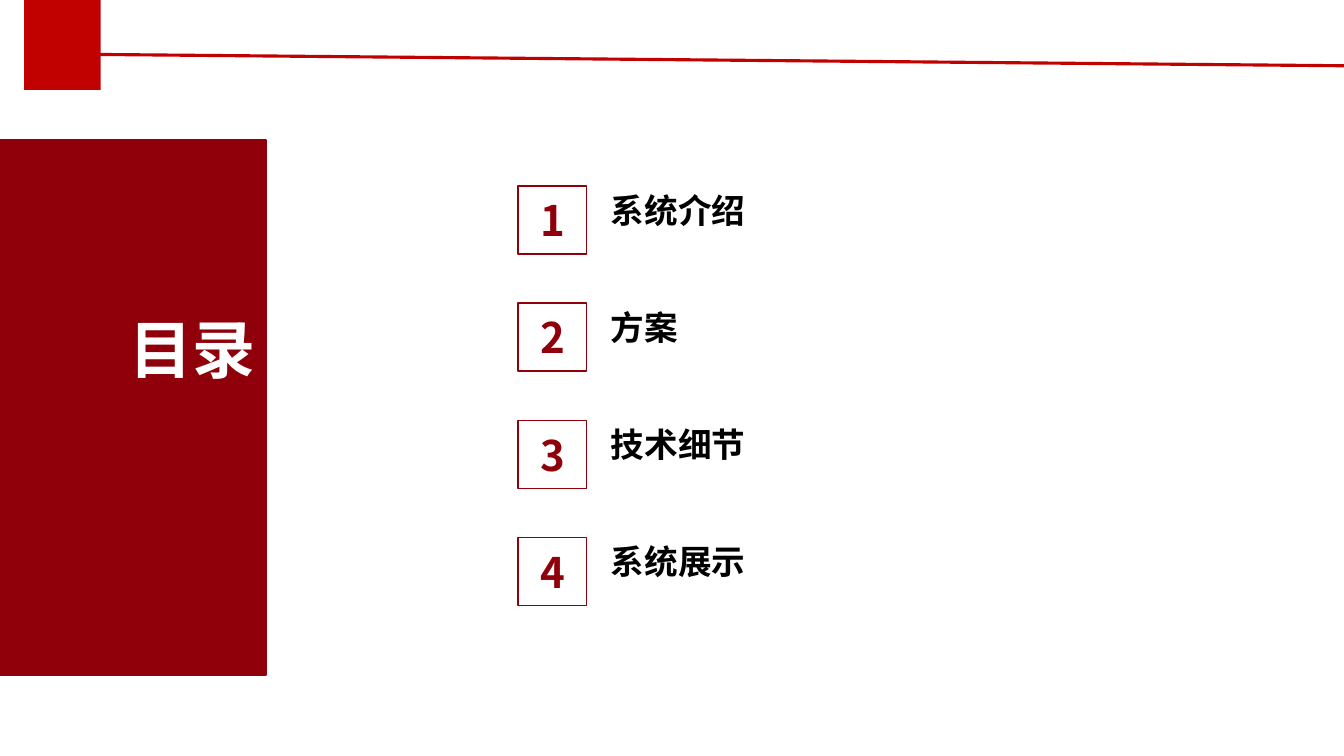
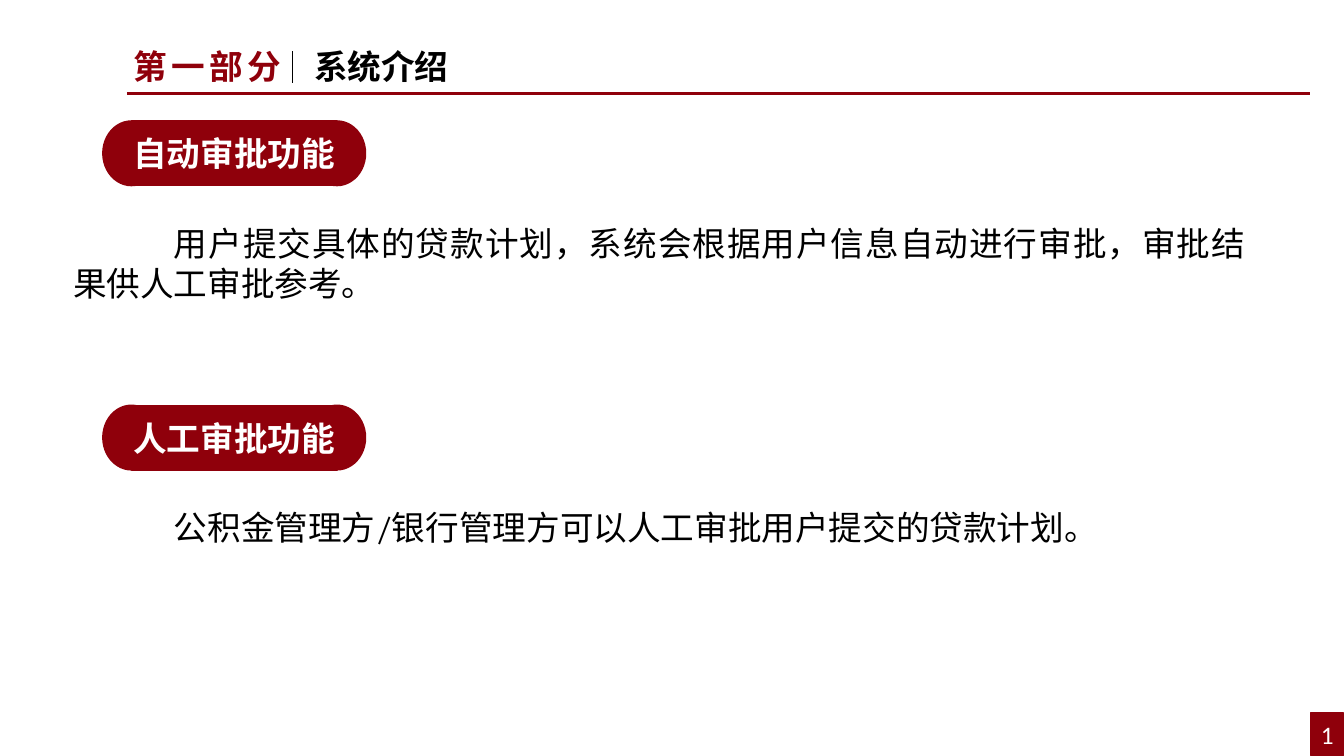
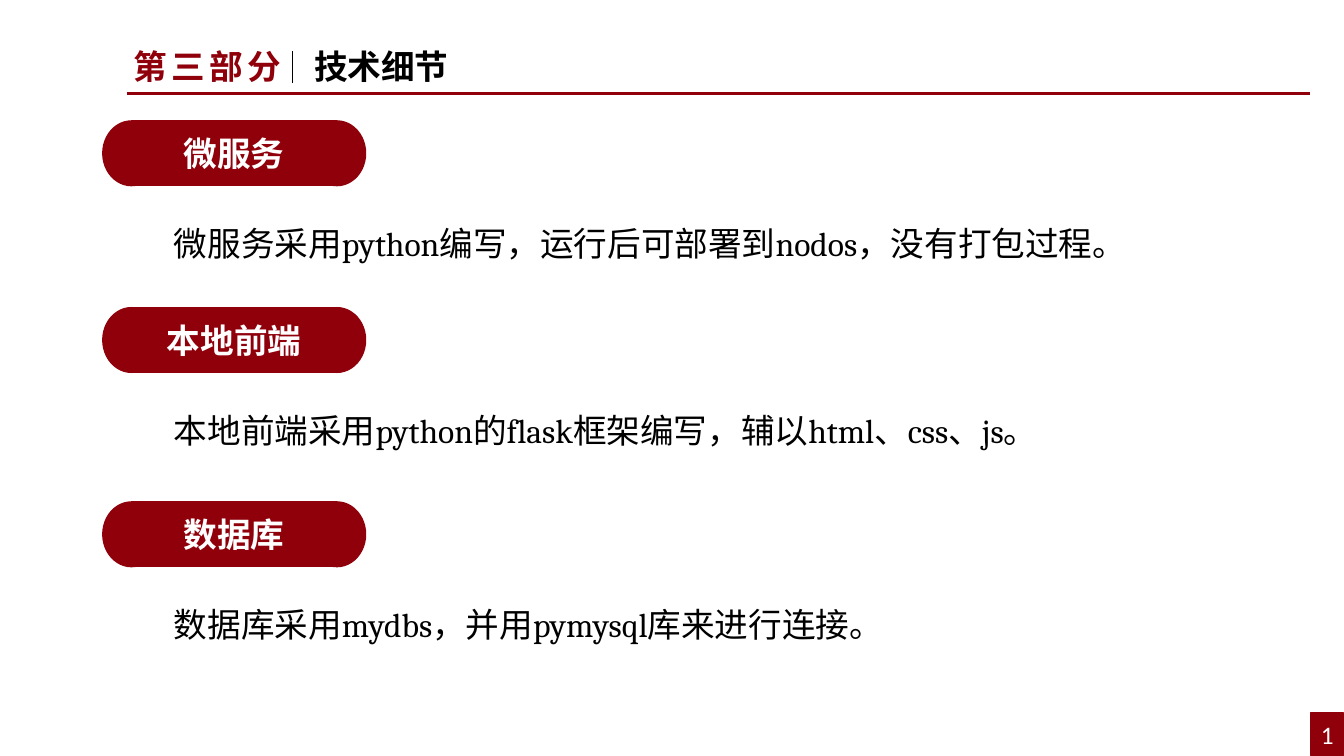
from dataclasses import dataclass

from lxml import etree
from pptx import Presentation
from pptx.dml.color import RGBColor
from pptx.enum import shapes, text
from pptx.oxml import ns
from pptx.util import Inches, Pt


@dataclass(frozen=True)
class Theme:
    dark: str = "8F000B"
    bright: str = "C10000"
    ink: str = "000000"
    paper: str = "FFFFFF"
    head_font: str = "Noto Sans CJK SC"
    body_font: str = "Cambria"
    page_font: str = "Calibri"
    cover: int = 45
    number: int = 30
    normal: int = 24
    page: int = 18


T = Theme()
WIDTH, HEIGHT = Inches(13.33), Inches(7.5)
ALIGN, ANCHOR = text.PP_ALIGN, text.MSO_ANCHOR
SHAPE = shapes.MSO_SHAPE


# Grid: 100 columns by 100 rows
def col(n):
    return round(WIDTH * n / 100)


def row(n):
    return round(HEIGHT * n / 100)


def box(x, y, w, h):
    return col(x), row(y), col(w), row(h)


# Text
def write(sp, *lines, size=T.normal, font=T.head_font, color=T.ink, bold=True,
          align=ALIGN.LEFT, anchor=ANCHOR.TOP, indent=0, spacing=0,
          line=None, after=0, margins=None):
    tf = sp.text_frame
    tf.word_wrap = True
    tf.auto_size = text.MSO_AUTO_SIZE.NONE
    tf.vertical_anchor = anchor
    if margins is not None:
        tf.margin_left = tf.margin_right = margins
        tf.margin_top = tf.margin_bottom = margins
    for i, content in enumerate(lines):
        p = tf.add_paragraph() if i else tf.paragraphs[0]
        p.alignment = align
        p.space_before, p.space_after = Pt(0), Pt(after)
        if line:
            p.line_spacing = Pt(line)
        props = p._p.get_or_add_pPr()
        props.set("marL", "0")
        props.set("indent", str(indent))
        etree.SubElement(props, ns.qn("a:buNone"))
        r = p.add_run()
        r.text = content
        r.font.size, r.font.bold, r.font.name = Pt(size), bold, font
        r.font.color.rgb = RGBColor.from_string(color)
        run_props = r._r.get_or_add_rPr()
        etree.SubElement(run_props, ns.qn("a:ea"), typeface=T.head_font)
        if spacing:
            run_props.set("spc", str(spacing * 100))


def add_text(s, area, content, **style):
    write(s.shapes.add_textbox(*box(*area)), content, **style)


def fill_placeholder(sp, area, *lines, **style):
    sp.left, sp.top, sp.width, sp.height = box(*area)
    write(sp, *lines, **style)


# Shapes and lines
def add_block(s, area, fill=None, line=T.dark, kind=SHAPE.RECTANGLE):
    sp = s.shapes.add_shape(kind, *box(*area))
    sp.shadow.inherit = False
    if fill:
        sp.fill.solid()
        sp.fill.fore_color.rgb = RGBColor.from_string(fill)
    else:
        sp.fill.background()
    if line:
        sp.line.color.rgb = RGBColor.from_string(line)
        sp.line.width = Pt(1)
    else:
        sp.line.fill.background()
    return sp


def add_line(s, x1, y1, x2, y2, color, width):
    c = s.shapes.add_connector(shapes.MSO_CONNECTOR.STRAIGHT,
                               col(x1), row(y1), col(x2), row(y2))
    c.line.color.rgb = RGBColor.from_string(color)
    c.line.width = Pt(width)
    etree.SubElement(c._element.spPr, ns.qn("a:effectLst"))


def add_pill(s, top, label):
    left, width, cap, height = 7.65, 19.55, 4.25, 8.55
    for x in (left, left + width - cap):
        add_block(s, (x, top, cap, height), T.dark, kind=SHAPE.OVAL)
    middle = add_block(s, (left + cap / 2, top, width - cap, height), T.dark)
    write(middle, label, color=T.paper, align=ALIGN.CENTER,
          anchor=ANCHOR.MIDDLE, margins=0)


# Slides
def contents_slide(prs, title, items):
    s = prs.slides.add_slide(prs.slide_layouts[1])
    heading, body = s.placeholders
    fill_placeholder(heading, (5.5, 40.4, 14.25, 12), title, size=T.cover,
                     color=T.paper, align=ALIGN.RIGHT)
    panel = add_block(s, (0, 18.5, 19.8, 70.8), T.dark)
    heading.element.addprevious(panel.element)

    # Numbered list: the paragraph pitch equals the pitch of the boxes
    pitch, line = 15.5, 29
    fill_placeholder(body, (44.7, 24.4, 36.4, 60), *items, line=line,
                     after=round(row(pitch) / Pt(1) - line, 2))
    for i in range(len(items)):
        sp = add_block(s, (38.55, 24.6 + i * pitch, 5.1, 9))
        write(sp, str(i + 1), size=T.number, color=T.dark,
              align=ALIGN.CENTER, anchor=ANCHOR.MIDDLE, margins=0)

    # Corner mark
    add_block(s, (1.8, 0, 5.7, 11.9), T.bright, line=None)
    add_line(s, 7.05, 7.2, 100, 8.7, T.bright, 2.25)


def section_slide(prs, part, title, page, sections):
    s = prs.slides.add_slide(prs.slide_layouts[5])

    # Header
    fill_placeholder(s.shapes.title, (22.62, 5.45, 40, 6.67), title)
    add_text(s, (9.23, 5.45, 13.95, 6.67), part, color=T.dark, spacing=3)
    add_line(s, 21.75, 6.8, 21.75, 10.95, T.ink, 0.5)
    add_line(s, 9.45, 12.4, 97.5, 12.4, T.dark, 2.25)

    # Page number
    badge = add_block(s, (97.53, 94.3, 2.45, 5.65), T.dark)
    write(badge, page, size=T.page, font=T.page_font, color=T.paper,
          bold=False, align=ALIGN.CENTER, anchor=ANCHOR.MIDDLE, margins=0)

    # Labelled paragraphs
    for top, label, content in sections:
        add_pill(s, top, label)
        add_text(s, (4.7, top + 12.8, 88.7, 12.1), content,
                 font=T.body_font, bold=False, align=ALIGN.JUSTIFY,
                 indent=Inches(1))


def main():
    prs = Presentation()
    prs.slide_width, prs.slide_height = WIDTH, HEIGHT
    contents_slide(prs, "目录", ["系统介绍", "方案", "技术细节", "系统展示"])
    section_slide(prs, "第一部分", "系统介绍", "1", [
        (16, "自动审批功能",
         "用户提交具体的贷款计划，系统会根据用户信息自动进行审批，"
         "审批结果供人工审批参考。"),
        (53.6, "人工审批功能",
         "公积金管理方/银行管理方可以人工审批用户提交的贷款计划。"),
    ])
    section_slide(prs, "第三部分", "技术细节", "1", [
        (16, "微服务",
         "微服务采用python编写，运行后可部署到nodos，没有打包过程。"),
        (40.7, "本地前端",
         "本地前端采用python的flask框架编写，辅以html、css、js。"),
        (66.4, "数据库",
         "数据库采用mydbs，并用pymysql库来进行连接。"),
    ])
    prs.save("out.pptx")


main()
